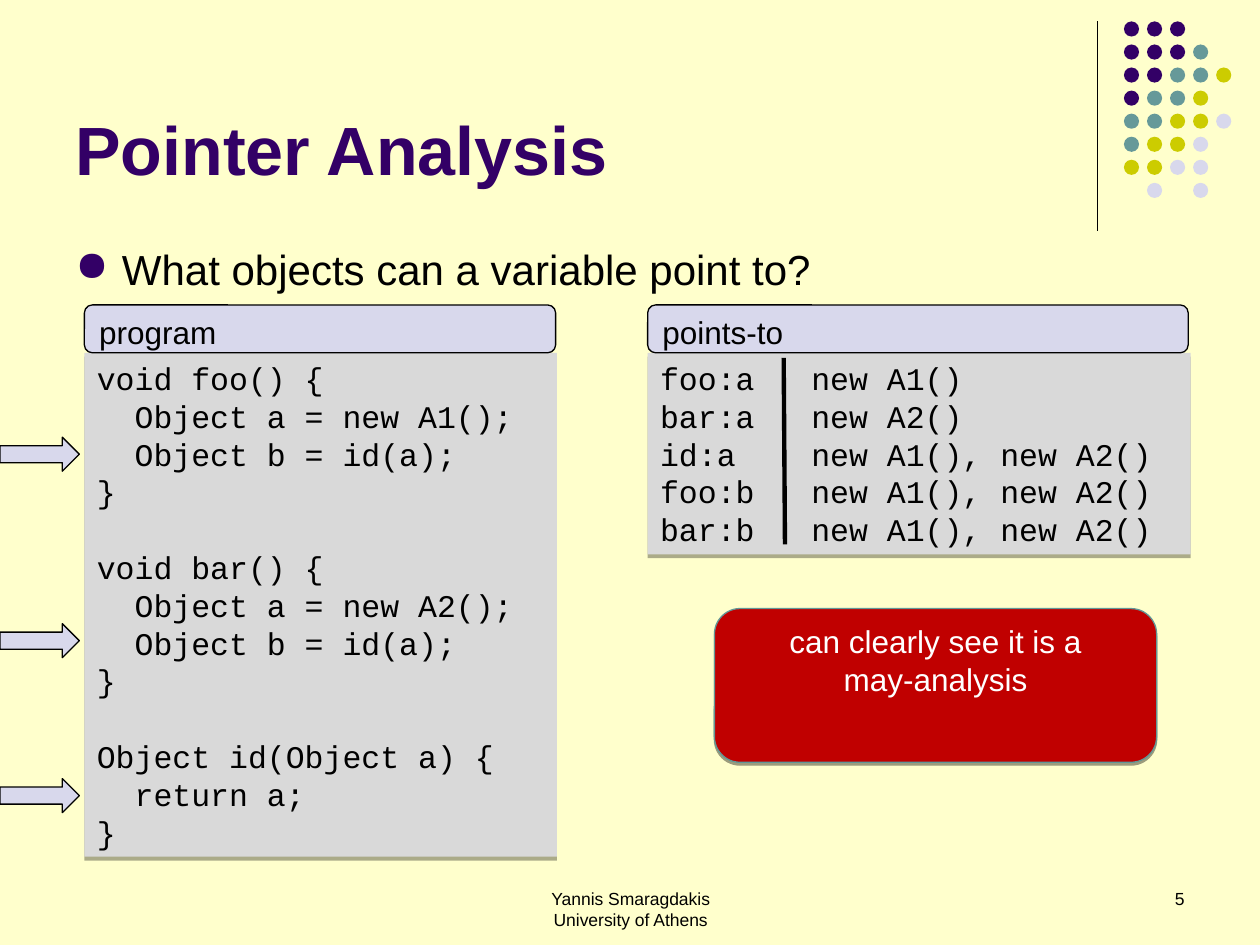
from dataclasses import dataclass
from typing import Optional

from lxml.etree import SubElement
from pptx import Presentation
from pptx.dml.color import RGBColor
from pptx.enum.shapes import MSO_CONNECTOR, MSO_SHAPE
from pptx.enum.text import MSO_ANCHOR, PP_ALIGN
from pptx.oxml.ns import qn
from pptx.util import Emu, Inches, Pt

# Colours
CREAM = RGBColor(0xFF, 0xFF, 0xCC)
PURPLE = RGBColor(0x33, 0x00, 0x66)
TEAL = RGBColor(0x66, 0x99, 0x99)
OLIVE = RGBColor(0xCC, 0xCC, 0x00)
LAVENDER = RGBColor(0xD8, 0xD8, 0xEC)
GREY = RGBColor(0xD9, 0xD9, 0xD9)
RED = RGBColor(0xC0, 0x00, 0x00)
EDGE = RGBColor(0x62, 0x97, 0x97)
BLACK = RGBColor(0x00, 0x00, 0x00)
WHITE = RGBColor(0xFF, 0xFF, 0xFF)

# Slide with a grid of 100 columns by 75 rows
presentation = Presentation()
presentation.slide_width, presentation.slide_height = Inches(10), Inches(7.5)
COLUMN, ROW = presentation.slide_width / 100, presentation.slide_height / 75
LINE_FACTOR = 1.2
slide = presentation.slides.add_slide(presentation.slide_layouts[6])
slide.background.fill.solid()
slide.background.fill.fore_color.rgb = CREAM


@dataclass(frozen=True)
class Area:
    column: float
    row: float
    columns: float
    rows: float

    def box(self) -> tuple:
        return (Emu(round(self.column * COLUMN)), Emu(round(self.row * ROW)),
                Emu(round(self.columns * COLUMN)), Emu(round(self.rows * ROW)))


@dataclass(frozen=True)
class Style:
    size: float = 18
    name: str = "Arial"
    color: RGBColor = BLACK
    bold: bool = False
    alignment: PP_ALIGN = PP_ALIGN.LEFT
    anchor: MSO_ANCHOR = MSO_ANCHOR.TOP


@dataclass(frozen=True)
class Shadow:
    alpha: int
    distance: float


@dataclass(frozen=True)
class Panel:
    heading: str
    header: Area
    body: Area
    blocks: tuple  # blocks of lines, parted by one empty line's height
    tab: Optional[float] = None  # tab stop in inches


CODE = Style(name="Courier New")


def write(shape, blocks: tuple, style: Style, tab: Optional[float] = None) -> None:
    """Fill a shape with blocks of lines."""
    frame = shape.text_frame
    frame.word_wrap, frame.vertical_anchor = True, style.anchor
    line_height = Pt(style.size * LINE_FACTOR)
    font_format = {"size": Pt(style.size), "name": style.name, "bold": style.bold}
    rows = [(line, number > 0 and index == 0)
            for number, block in enumerate(blocks) for index, line in enumerate(block)]
    for index, (line, opens_block) in enumerate(rows):
        paragraph = frame.add_paragraph() if index else frame.paragraphs[0]
        paragraph.text = line
        paragraph.alignment, paragraph.line_spacing = style.alignment, line_height
        if opens_block:
            paragraph.space_before = line_height
        if tab:
            stops = SubElement(paragraph._p.get_or_add_pPr(), qn("a:tabLst"))
            SubElement(stops, qn("a:tab"), pos=str(Inches(tab)), algn="l")
        for attribute, value in font_format.items():
            setattr(paragraph.font, attribute, value)
        paragraph.font.color.rgb = style.color


def add_text(area: Area, lines: tuple, style: Style):
    shape = slide.shapes.add_textbox(*area.box())
    write(shape, (lines,), style)
    return shape


def add_block(kind: MSO_SHAPE, area: Area, fill: RGBColor,
              outline: Optional[RGBColor] = None, shadow: Optional[Shadow] = None):
    """Add a filled preset shape with an optional outline and downward shadow."""
    shape = slide.shapes.add_shape(kind, *area.box())
    shape.shadow.inherit = False
    shape.fill.solid()
    shape.fill.fore_color.rgb = fill
    if outline is None:
        shape.line.fill.background()
    else:
        shape.line.color.rgb, shape.line.width = outline, Pt(0.75)
    if shadow:
        effects = shape._element.spPr.find(qn("a:effectLst"))
        outer = SubElement(effects, qn("a:outerShdw"), blurRad="0", dir="5400000",
                           dist=str(Pt(shadow.distance)), rotWithShape="0")
        color = SubElement(outer, qn("a:srgbClr"), val=str(BLACK))
        SubElement(color, qn("a:alpha"), val=str(shadow.alpha * 1000))
    return shape


def add_rule(start: tuple, end: tuple, width: float) -> None:
    points = [Emu(round(value * unit)) for point in (start, end)
              for value, unit in zip(point, (COLUMN, ROW))]
    rule = slide.shapes.add_connector(MSO_CONNECTOR.STRAIGHT, *points)
    rule.line.color.rgb, rule.line.width = BLACK, Pt(width)
    SubElement(rule._element.spPr, qn("a:effectLst"))


def add_panel(panel: Panel) -> None:
    body = add_block(MSO_SHAPE.RECTANGLE, panel.body, GREY, shadow=Shadow(32, 2.2))
    write(body, panel.blocks, CODE, panel.tab)
    header = add_block(MSO_SHAPE.ROUNDED_RECTANGLE, panel.header, LAVENDER, BLACK)
    write(header, ((panel.heading,),), Style())


# Corner ornament: a rule and a grid of dots
add_rule((87.1, 1.7), (87.1, 18.3), 0.75)
DOT_COLORS = {"P": PURPLE, "T": TEAL, "O": OLIVE, "L": LAVENDER}
DOT_ROWS = ("PPP", "PPPT", "PPTTO", "PTTO", "TTOOL", "TOOL", "OOLL", " L L")
DOT_PITCH, DOT_SIZE = 1.83, 1.2
for row, pattern in enumerate(DOT_ROWS):
    for column, key in enumerate(pattern):
        if key in DOT_COLORS:
            add_block(MSO_SHAPE.OVAL,
                      Area(89.2 + column * DOT_PITCH, 1.7 + row * DOT_PITCH, DOT_SIZE, DOT_SIZE),
                      DOT_COLORS[key])

# Title and question
add_text(Area(5, 1.3, 82.5, 14.2), ("Pointer Analysis",),
         Style(39, color=PURPLE, bold=True, anchor=MSO_ANCHOR.BOTTOM))
question = add_text(Area(5, 18.8, 90, 48.2), ("What objects can a variable point to?",), Style(24))
properties = question.text_frame.paragraphs[0]._p.get_or_add_pPr()
properties.set("marL", str(Inches(0.37)))
properties.set("indent", str(Inches(-0.37)))
bullet_color = SubElement(properties, qn("a:buClr"))
SubElement(bullet_color, qn("a:srgbClr"), val=str(PURPLE))
SubElement(properties, qn("a:buChar"), char="●")
# Bullet elements come before the default run properties
properties.append(properties.find(qn("a:defRPr")))

# Program and points-to panels
PANELS = (
    Panel("program", Area(6.7, 24.2, 37.4, 3.8), Area(6.7, 28, 37.5, 40), (
        ("void foo() {", "  Object a = new A1();", "  Object b = id(a);", "}"),
        ("void bar() {", "  Object a = new A2();", "  Object b = id(a);", "}"),
        ("Object id(Object a) {", "  return a;", "}"))),
    Panel("points-to", Area(51.4, 24.2, 42.9, 3.8), Area(51.4, 28, 43.1, 16), (
        ("foo:a\tnew A1()", "bar:a\tnew A2()", "id:a\tnew A1(), new A2()",
         "foo:b\tnew A1(), new A2()", "bar:b\tnew A1(), new A2()"),), tab=1.2),
)
for panel in PANELS:
    add_panel(panel)
add_rule((62.2, 28.4), (62.3, 43.2), 2.5)

# Arrows to the lines of interest
for arrow_row in (34.7, 49.5, 61.8):
    add_block(MSO_SHAPE.RIGHT_ARROW, Area(0, arrow_row, 6.3, 2.7), LAVENDER, BLACK)

# Callout
callout = add_block(MSO_SHAPE.ROUNDED_RECTANGLE, Area(56.7, 48.3, 35.1, 12.2), RED, EDGE,
                    Shadow(38, 1.6))
write(callout, (("can clearly see it is a", "may-analysis"),),
      Style(color=WHITE, alignment=PP_ALIGN.CENTER))

# Footer
add_text(Area(34.2, 70, 31.7, 5), ("Yannis Smaragdakis", "University of Athens"),
         Style(10, alignment=PP_ALIGN.CENTER))
add_text(Area(71.7, 70, 23.3, 5), ("5",), Style(10, alignment=PP_ALIGN.RIGHT))

presentation.save("out.pptx")
